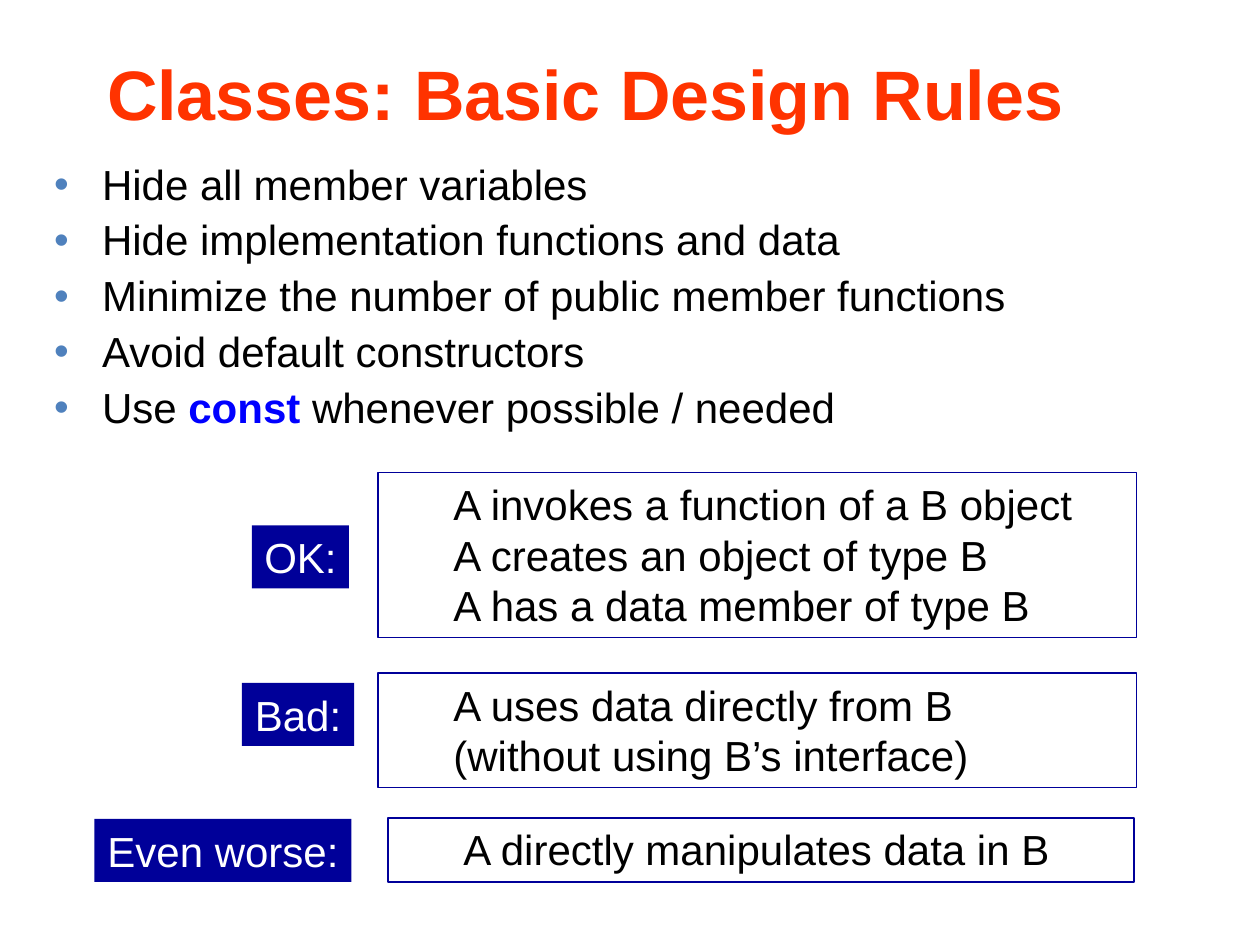
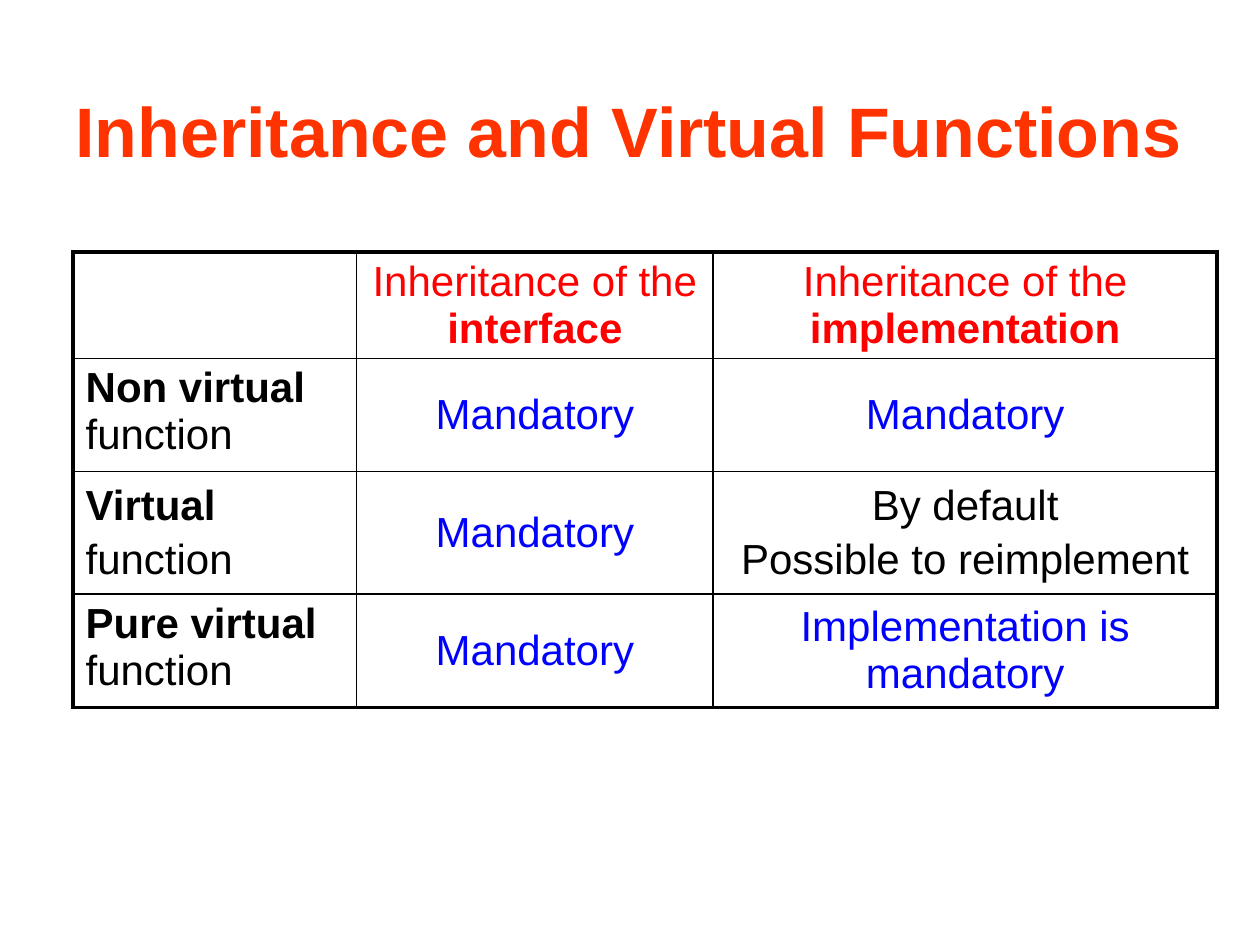
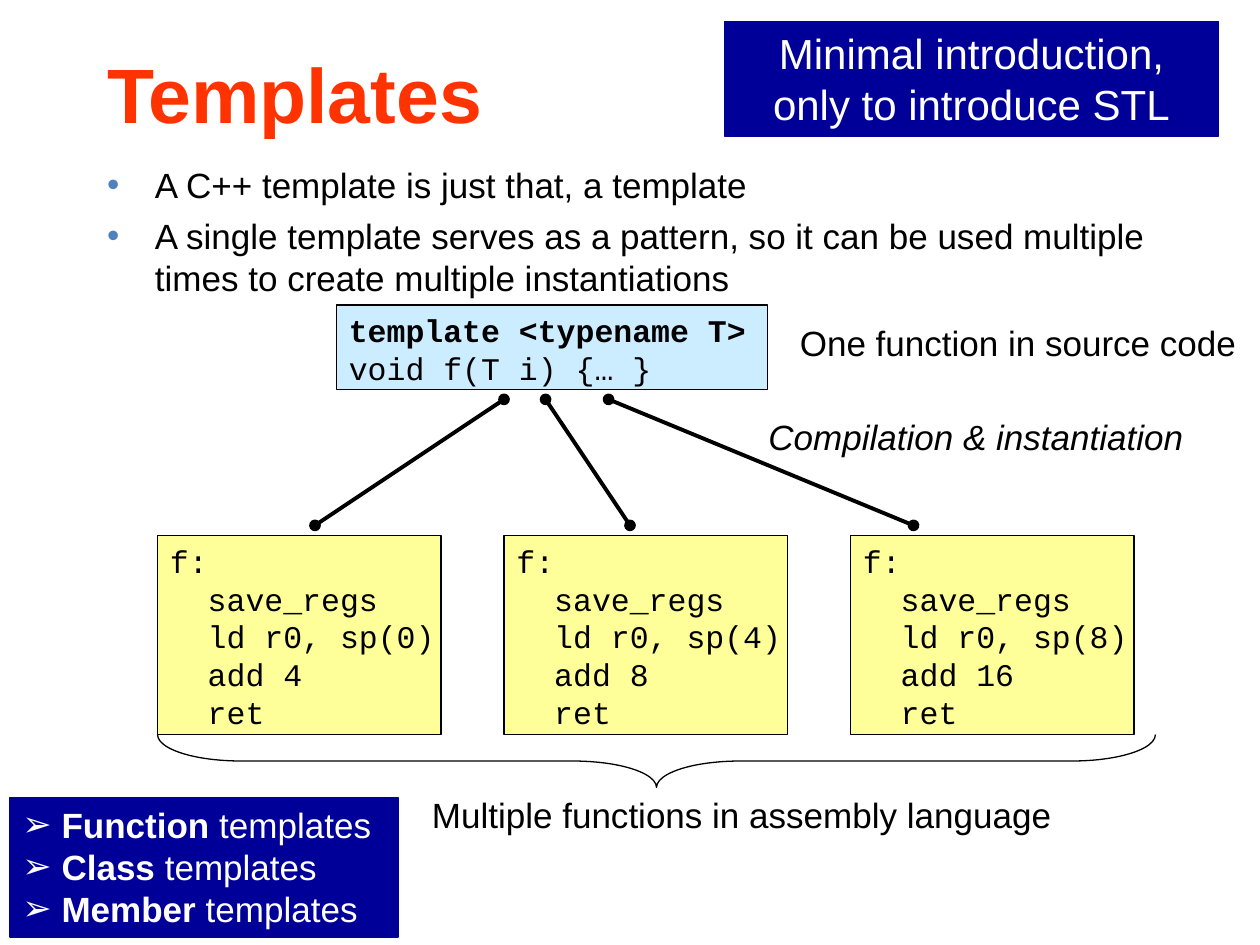
from lxml.etree import SubElement
from pptx import Presentation
from pptx.dml.color import RGBColor
from pptx.enum.shapes import MSO_CONNECTOR, MSO_SHAPE
from pptx.enum.text import MSO_ANCHOR, MSO_AUTO_SIZE, PP_ALIGN
from pptx.oxml.ns import qn
from pptx.util import Inches, Pt

ORANGE = RGBColor(0xFF, 0x33, 0x00)
RED = RGBColor(0xFF, 0x00, 0x00)
BLUE = RGBColor(0x00, 0x00, 0xFF)
NAVY = RGBColor(0x00, 0x00, 0x99)
BULLET_BLUE = RGBColor(0x4F, 0x81, 0xBD)
PALE_BLUE = RGBColor(0xCC, 0xEC, 0xFF)
YELLOW = RGBColor(0xFF, 0xFF, 0x99)
BLACK = RGBColor(0, 0, 0)
WHITE = RGBColor(0xFF, 0xFF, 0xFF)
SANS, MONO = "Arial", "Courier New"
TITLE_AND_BODY, TITLE_ONLY = 1, 5


def place(shape, box):
    """Move a shape to box, given as left, top, width, height in inches."""
    shape.left, shape.top, shape.width, shape.height = map(Inches, box)


def write(frame, lines, size, color=BLACK, accent=None, face=SANS,
          align=PP_ALIGN.LEFT, before=0, italic=None):
    """Write one paragraph per line; parts between asterisks are bold."""
    for number, line in enumerate(lines):
        paragraph = frame.add_paragraph() if number else frame.paragraphs[0]
        paragraph.alignment = align
        paragraph.space_before = Pt(before)
        font = paragraph.font
        font.name, font.size, font.italic = face, Pt(size), italic
        font.color.rgb = color
        for part, words in enumerate(line.split("*")):
            if words:
                run = paragraph.add_run()
                run.text = words
                if part % 2:
                    run.font.bold = True
                    if accent is not None:
                        run.font.color.rgb = accent


def indent(paragraph, left, first=0):
    """Set the left margin and first-line indent of a paragraph in inches."""
    properties = paragraph._p.get_or_add_pPr()
    properties.set("marL", str(Inches(left)))
    properties.set("indent", str(Inches(first)))
    return properties


def bullet(paragraph, sign, color, hang):
    """Give a paragraph a coloured hanging bullet."""
    properties = indent(paragraph, hang, -hang)
    marks = [properties.makeelement(qn("a:buClr")),
             properties.makeelement(qn("a:buFont"), typeface=SANS),
             properties.makeelement(qn("a:buChar"), char=sign)]
    SubElement(marks[0], qn("a:srgbClr"), val=str(color))
    default_font = properties.find(qn("a:defRPr"))
    for mark in marks:
        default_font.addprevious(mark)


def add_slide(deck, layout, title, box, size=40):
    """Add a slide with the shared title style."""
    slide = deck.slides.add_slide(deck.slide_layouts[layout])
    heading = slide.shapes.title
    place(heading, box)
    frame = heading.text_frame
    frame.auto_size = MSO_AUTO_SIZE.NONE
    frame.vertical_anchor = MSO_ANCHOR.MIDDLE
    write(frame, [title], size, ORANGE)
    frame.paragraphs[0].font.bold = True
    return slide


def fill_body(slide, box, lines, size, spacing=1.0, accent=None):
    """Fill the body placeholder with the bulleted list."""
    body = slide.placeholders[1]
    place(body, box)
    frame = body.text_frame
    frame.auto_size = MSO_AUTO_SIZE.NONE
    write(frame, lines, size, accent=accent, before=size / 4)
    for paragraph in frame.paragraphs:
        paragraph.line_spacing = spacing
        bullet(paragraph, "•", BULLET_BLUE, 0.38)


def add_panel(slide, box, fill=None, line=None, width=1.0,
              kind=MSO_SHAPE.RECTANGLE):
    """Add a shape with plain fill and outline, its text at the top."""
    panel = slide.shapes.add_shape(kind, *map(Inches, box))
    panel.shadow.inherit = False
    if fill is None:
        panel.fill.background()
    else:
        panel.fill.solid()
        panel.fill.fore_color.rgb = fill
    if line is None:
        panel.line.fill.background()
    else:
        panel.line.color.rgb = line
        panel.line.width = Pt(width)
    panel.text_frame.word_wrap = True
    panel.text_frame.vertical_anchor = MSO_ANCHOR.TOP
    return panel


def add_verdict(slide, label, label_box, cases, cases_box):
    """Add a navy label and the outlined list of cases it judges."""
    frame = add_panel(slide, cases_box, line=NAVY).text_frame
    write(frame, cases, 24)
    for paragraph in frame.paragraphs:
        paragraph.level = 1
        indent(paragraph, 0.5)
    frame = add_panel(slide, label_box, NAVY).text_frame
    frame.word_wrap = False
    write(frame, [label], 24, WHITE, align=PP_ALIGN.CENTER)


def add_caption(slide, box, words, italic=None):
    """Add a caption beside the diagram."""
    frame = slide.shapes.add_textbox(*map(Inches, box)).text_frame
    frame.word_wrap = True
    write(frame, [words], 20, italic=italic)


def add_code(slide, box, lines, fill, inner=0):
    """Add a code box; lines after the first are indented by inner inches."""
    frame = add_panel(slide, box, fill, BLACK, 0.75).text_frame
    frame.margin_right = 0
    write(frame, lines, 18, face=MONO)
    for paragraph in frame.paragraphs[1:]:
        indent(paragraph, inner)


def add_link(slide, start, end):
    """Join two points with a line that has round ends."""
    link = slide.shapes.add_connector(MSO_CONNECTOR.STRAIGHT,
                                      *map(Inches, start + end))
    link.line.color.rgb = BLACK
    link.line.width = Pt(2.25)
    outline = link.line._get_or_add_ln()
    for tag in ("a:headEnd", "a:tailEnd"):
        SubElement(outline, qn(tag), type="oval")
    SubElement(link._element.spPr, qn("a:effectLst"))


def set_borders(cell, widths):
    """Draw black cell borders; widths are left, right, top, bottom points."""
    properties = cell._tc.get_or_add_tcPr()
    for side, width in zip("LRTB", widths):
        edge = SubElement(properties, qn("a:ln" + side), w=str(Pt(width)))
        paint = SubElement(edge, qn("a:solidFill"))
        SubElement(paint, qn("a:srgbClr"), val=str(BLACK))


def add_grid(slide, corner, columns, heights, rows):
    """Add the comparison table with a heavy outer frame."""
    box = (*corner, sum(columns), sum(heights))
    table = slide.shapes.add_table(len(rows), len(columns),
                                   *map(Inches, box)).table
    table.first_row = table.horz_banding = False
    for column, width in zip(table.columns, columns):
        column.width = Inches(width)
    for row, height in zip(table.rows, heights):
        row.height = Inches(height)
    last_row, last_column = len(rows) - 1, len(columns) - 1
    for r, row in enumerate(rows):
        for c, lines in enumerate(row):
            cell = table.cell(r, c)
            outer = (c == 0, c == last_column, r == 0, r == last_row)
            set_borders(cell, [2.25 if edge else 1 for edge in outer])
            cell.fill.background()
            split = len(lines) > 1
            middle = r and (c or split)
            cell.vertical_anchor = MSO_ANCHOR.MIDDLE if middle else MSO_ANCHOR.TOP
            color = RED if r == 0 else BLACK if c == 0 or split else BLUE
            write(cell.text_frame, lines, 24, color, before=4,
                  align=PP_ALIGN.CENTER if c else PP_ALIGN.LEFT)


def build_design_rules(deck):
    """Slide with the design rules for classes."""
    slide = add_slide(deck, TITLE_AND_BODY, "Classes: Basic Design Rules",
                      (0.75, 0.38, 8.5, 0.71))
    fill_body(slide, (0.33, 1.25, 9.25, 2.33), [
        "Hide all member variables",
        "Hide implementation functions and data",
        "Minimize the number of public member functions",
        "Avoid default constructors",
        "Use *const* whenever possible / needed"], 24, 0.9, BLUE)
    add_verdict(slide, "OK:", (2, 4.17, 0.77, 0.5),
                ["A invokes a function of a B object",
                 "A creates an object of type B",
                 "A has a data member of type B"], (3, 3.75, 6.02, 1.31))
    add_verdict(slide, "Bad:", (1.92, 5.42, 0.89, 0.5),
                ["A uses data directly from B",
                 "(without using B’s interface)"], (3, 5.34, 6.02, 0.91))
    add_verdict(slide, "Even worse:", (0.75, 6.5, 2.04, 0.5),
                ["A directly manipulates data in B"], (3.08, 6.49, 5.92, 0.51))


def build_inheritance(deck):
    """Slide comparing kinds of functions under inheritance."""
    slide = add_slide(deck, TITLE_ONLY, "Inheritance and Virtual Functions",
                      (0.5, 0.67, 9.08, 0.71))
    mandatory = ["Mandatory"]
    add_grid(slide, (0.58, 2), (2.25, 2.83, 4), (0.84, 0.9, 0.97, 0.9), [
        [[], ["Inheritance of the *interface*"],
         ["Inheritance of the *implementation*"]],
        [["*Non virtual* function"], mandatory, mandatory],
        [["*Virtual*", "function"], mandatory,
         ["By default", "Possible to reimplement"]],
        [["*Pure virtual* function"], mandatory,
         ["Implementation is mandatory"]]])


def build_templates(deck):
    """Slide showing one template and its instantiations."""
    slide = add_slide(deck, TITLE_AND_BODY, "Templates",
                      (0.75, 0.38, 8.5, 0.71), 44)
    fill_body(slide, (0.75, 1.25, 8.5, 1.25), [
        "A C++ template is just that, a template",
        "A single template serves as a pattern, so it can be used multiple "
        "times to create multiple instantiations"], 20)
    add_code(slide, (2.67, 2.42, 3.42, 0.67),
             ["*template <typename T>*", "void f(T i) {… }"], PALE_BLUE)
    add_caption(slide, (6.25, 2.5, 3.67, 0.43), "One function in source code")
    add_caption(slide, (6, 3.25, 3.58, 0.43), "Compilation & instantiation", True)
    add_caption(slide, (3.33, 6.25, 5.17, 0.43),
                "Multiple functions in assembly language")
    for start, end in ((4, 2.5), (4.33, 5), (4.83, 7.25)):
        add_link(slide, (start, 3.17), (end, 4.17))
    for number, (offset, amount) in enumerate(((0, 4), (4, 8), (8, 16))):
        add_code(slide, (1.25 + 2.75 * number, 4.25, 2.25, 1.58),
                 ["f:", "save_regs", f"ld r0, sp({offset})", f"add {amount}",
                  "ret"], YELLOW, 0.3)
    brace = add_panel(slide, (5, 2.08, 0.42, 7.92), line=BLACK, width=0.75,
                      kind=MSO_SHAPE.RIGHT_BRACE)
    brace.rotation = 90
    brace.adjustments[0], brace.adjustments[1] = 1.58, 0.5
    scope = add_panel(slide, (5.75, 0.17, 3.92, 0.91), NAVY, NAVY)
    write(scope.text_frame, ["Minimal introduction, only to introduce STL"],
          24, WHITE, align=PP_ALIGN.CENTER)
    kinds = add_panel(slide, (0.08, 6.33, 3.08, 1.11), NAVY, NAVY).text_frame
    write(kinds, [f"*{kind}* templates"
                  for kind in ("Function", "Class", "Member")], 20, WHITE)
    for paragraph in kinds.paragraphs:
        bullet(paragraph, "➢", WHITE, 0.31)


deck = Presentation()
deck.slide_width, deck.slide_height = Inches(10), Inches(7.5)
build_design_rules(deck)
build_inheritance(deck)
build_templates(deck)
deck.save("out.pptx")
